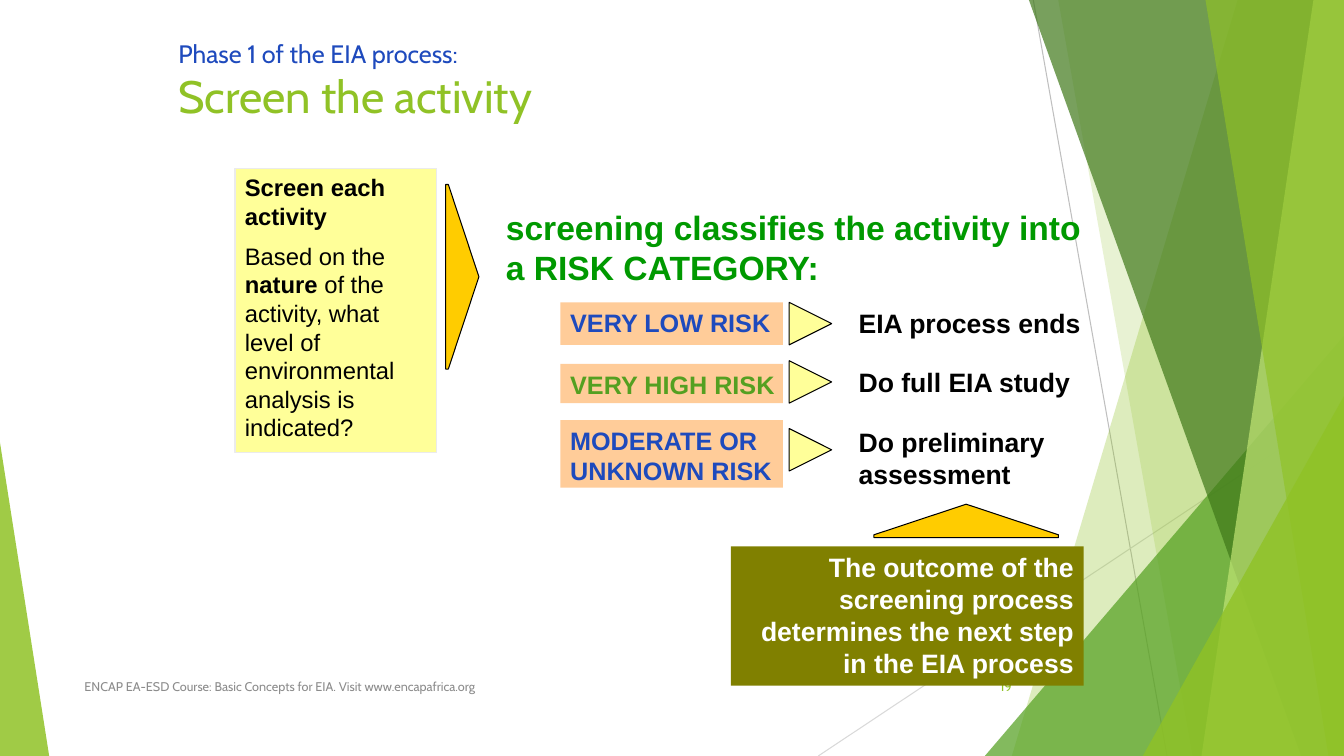
from lxml.etree import SubElement
from pptx import Presentation
from pptx.dml.color import RGBColor
from pptx.enum.shapes import MSO_CONNECTOR, MSO_SHAPE
from pptx.enum.text import MSO_ANCHOR, PP_ALIGN
from pptx.oxml.ns import qn
from pptx.util import Cm, Pt

LIME = RGBColor(0x90, 0xC2, 0x26)
PALE_LIME = RGBColor(0xC0, 0xE4, 0x74)
GREEN = RGBColor(0x54, 0xA0, 0x21)
DARK_GREEN = RGBColor(0x3F, 0x78, 0x19)
BRIGHT_GREEN = RGBColor(0x00, 0x99, 0x00)
BLUE = RGBColor(0x1E, 0x4A, 0xBD)
YELLOW = RGBColor(0xFF, 0xFF, 0x99)
GOLD = RGBColor(0xFF, 0xCC, 0x00)
PEACH = RGBColor(0xFF, 0xCC, 0x99)
OLIVE = RGBColor(0x80, 0x80, 0x00)
BLACK = RGBColor(0x00, 0x00, 0x00)
WHITE = RGBColor(0xFF, 0xFF, 0xFF)
GRAY = RGBColor(0x8C, 0x8C, 0x8C)
RULE_GRAY = RGBColor(0xBF, 0xBF, 0xBF)
PALE_GRAY = RGBColor(0xD9, 0xD9, 0xD9)
EDGE_GRAY = RGBColor(0xEB, 0xEB, 0xEB)

# All lengths are centimetres
WIDTH, HEIGHT = 33.87, 19.05

RULES = [
    ((26.04, 0), (29.41, HEIGHT), RULE_GRAY),
    ((WIDTH, 10.24), (20.62, HEIGHT), PALE_GRAY),
]
# Bands run to the right edge: (top x, bottom x).
# Triangles stand on the bottom edge: (left, top, width, apex position).
BACKDROP = [
    ("band", (31.19, 25.5), LIME, 30),
    ("band", (26.67, 30.05), LIME, 20),
    ("triangle", (24.82, 8.46, 9.05, 1), GREEN, 72),
    ("band", (25.93, 32.79), DARK_GREEN, 70),
    ("band", (33.1, 30.28), PALE_LIME, 70),
    ("band", (30.38, 33.48), LIME, 65),
    ("triangle", (28.8, 9.98, 5.07, 1), LIME, 80),
    ("triangle", (0, 11.15, 1.24, 0), LIME, 85),
]

TITLE = [("Phase 1 of the EIA process:", 18, BLUE), ("Screen the activity", 32.4, LIME)]
FOOTER = "ENCAP EA-ESD Course: Basic Concepts for EIA. Visit www.encapafrica.org"
PAGE_NUMBER = "19"
# Paragraphs of (text, bold) spans
QUESTION = [
    [("Screen each activity", True)],
    [("Based on the ", False), ("nature", True),
     (" of the activity, what level of environmental analysis is indicated?", False)],
]
HEADING = "screening classifies the activity into a RISK CATEGORY:"
# risk, colour, (top, height) of its box, top of pointer, outcome, (top, height) of outcome
CATEGORIES = [
    ("VERY LOW RISK", BLUE, (7.62, 1.07), 7.62, "EIA process ends", (7.62, 1.07)),
    ("VERY HIGH RISK", GREEN, (9.17, 0.99), 9.09, "Do full EIA study", (9.09, 1.07)),
    ("MODERATE OR UNKNOWN RISK", BLUE, (10.59, 1.7), 10.8,
     "Do preliminary assessment", (10.62, 1.88)),
]
CONCLUSION = ("The outcome of the screening process determines "
              "the next step in the EIA process")

RISK_LEFT, RISK_WIDTH = 14.12, 5.61
POINTER_LEFT, POINTER_SIZE = 19.89, 1.07
OUTCOME_LEFT, OUTCOME_WIDTH = 21.39, 6.99
ARROW_SIZE, ARROW_POINT = (0.84, 4.65), 0.917


def apply(target, formats):
    for name, value in formats.items():
        setattr(target, name, value)


def paint(shape, fill, line=None, weight=0.75, opacity=100):
    shape.shadow.inherit = False
    shape.fill.solid()
    shape.fill.fore_color.rgb = fill
    if opacity < 100:
        colour = shape.fill._xPr.find(".//" + qn("a:srgbClr"))
        SubElement(colour, qn("a:alpha"), val=str(opacity * 1000))
    if line is None:
        shape.line.fill.background()
    else:
        shape.line.color.rgb = line
        shape.line.width = Pt(weight)
    return shape


def add_preset(page, kind, place, fill, point=None, **style):
    shape = page.shapes.add_shape(kind, *map(Cm, place))
    if point is not None:
        shape.adjustments[0] = point
    return paint(shape, fill, **style)


def add_span(para, text, size, colour, bold=False, font="Arial"):
    span = para.add_run()
    span.text = text
    apply(span.font, {"name": font, "size": Pt(size), "bold": bold})
    span.font.color.rgb = colour


def write(box, paragraphs, size, colour, font="Arial", align=PP_ALIGN.LEFT,
          gap=0, **frame_formats):
    frame = box.text_frame
    apply(frame, {"word_wrap": True, "vertical_anchor": MSO_ANCHOR.TOP, **frame_formats})
    for index, spans in enumerate(paragraphs):
        para = frame.add_paragraph() if index else frame.paragraphs[0]
        apply(para, {"alignment": align, "space_after": Pt(gap)})
        for text, bold in spans:
            add_span(para, text, size, colour, bold, font)


def add_label(page, place, text, size, colour, bold=True, **formats):
    box = page.shapes.add_textbox(*map(Cm, place))
    write(box, [[(text, bold)]], size, colour, **formats)


def draw_backdrop(page):
    for start, end, colour in RULES:
        rule = page.shapes.add_connector(MSO_CONNECTOR.STRAIGHT, *map(Cm, start + end))
        rule.line.color.rgb = colour
        rule.line.width = Pt(0.75)
        SubElement(rule._element.spPr, qn("a:effectLst"))
    for kind, place, colour, opacity in BACKDROP:
        if kind == "band":
            top_x, bottom_x = place
            builder = page.shapes.build_freeform(Cm(top_x), 0)
            corners = [(WIDTH, 0), (WIDTH, HEIGHT), (bottom_x, HEIGHT)]
            builder.add_line_segments([(Cm(x), Cm(y)) for x, y in corners], close=True)
            paint(builder.convert_to_shape(), colour, opacity=opacity)
        else:
            left, top, width, apex = place
            add_preset(page, MSO_SHAPE.ISOSCELES_TRIANGLE,
                       (left, top, width, HEIGHT - top), colour, apex, opacity=opacity)


def write_title(page):
    title = page.shapes.title
    apply(title, {"left": Cm(4.24), "top": Cm(0.84), "width": Cm(21.59), "height": Cm(1.7)})
    apply(title.text_frame, {"word_wrap": True, "vertical_anchor": MSO_ANCHOR.TOP})
    para = title.text_frame.paragraphs[0]
    apply(para, {"alignment": PP_ALIGN.LEFT, "line_spacing": 1.0})
    for index, (text, size, colour) in enumerate(TITLE):
        if index:
            para.add_line_break()
        add_span(para, text, size, colour, font="Cabin")


def draw_screening(page):
    question = add_preset(page, MSO_SHAPE.RECTANGLE, (5.92, 4.24, 5.08, 7.16), YELLOW,
                          line=EDGE_GRAY, weight=1)
    write(question, QUESTION, 17, BLACK, gap=8)
    add_preset(page, MSO_SHAPE.PENTAGON, (11.23, 4.65, *ARROW_SIZE), GOLD,
               ARROW_POINT, line=BLACK)
    add_label(page, (12.5, 5.08, 15.1, 2.31), HEADING, 24, BRIGHT_GREEN)
    for risk, colour, (top, height), pointer_top, outcome, outcome_rows in CATEGORIES:
        box = add_preset(page, MSO_SHAPE.RECTANGLE,
                         (RISK_LEFT, top, RISK_WIDTH, height), PEACH)
        write(box, [[(risk, True)]], 18, colour, margin_right=0)
        add_preset(page, MSO_SHAPE.PENTAGON,
                   (POINTER_LEFT, pointer_top, POINTER_SIZE, POINTER_SIZE),
                   YELLOW, 1, line=BLACK)
        outcome_top, outcome_height = outcome_rows
        add_label(page, (OUTCOME_LEFT, outcome_top, OUTCOME_WIDTH, outcome_height),
                  outcome, 19, BLACK)
    conclusion = add_preset(page, MSO_SHAPE.RECTANGLE, (18.42, 13.77, 8.89, 3.51), OLIVE)
    write(conclusion, [[(CONCLUSION, True)]], 19, WHITE, align=PP_ALIGN.RIGHT)
    up_arrow = add_preset(page, MSO_SHAPE.PENTAGON, (23.93, 10.8, *ARROW_SIZE), GOLD,
                          ARROW_POINT, line=BLACK)
    up_arrow.rotation = 270


def main():
    deck = Presentation()
    apply(deck, {"slide_width": Cm(WIDTH), "slide_height": Cm(HEIGHT)})
    page = deck.slides.add_slide(deck.slide_layouts[5])
    draw_backdrop(page)
    write_title(page)
    small = {"bold": False, "font": "Cabin", "vertical_anchor": MSO_ANCHOR.MIDDLE}
    add_label(page, (1.88, 16.79, 17.5, 1.02), FOOTER, 9, GRAY, **small)
    add_label(page, (23.85, 16.79, 1.9, 1.02), PAGE_NUMBER, 9, LIME,
              align=PP_ALIGN.RIGHT, **small)
    draw_screening(page)
    deck.save("out.pptx")


if __name__ == "__main__":
    main()
